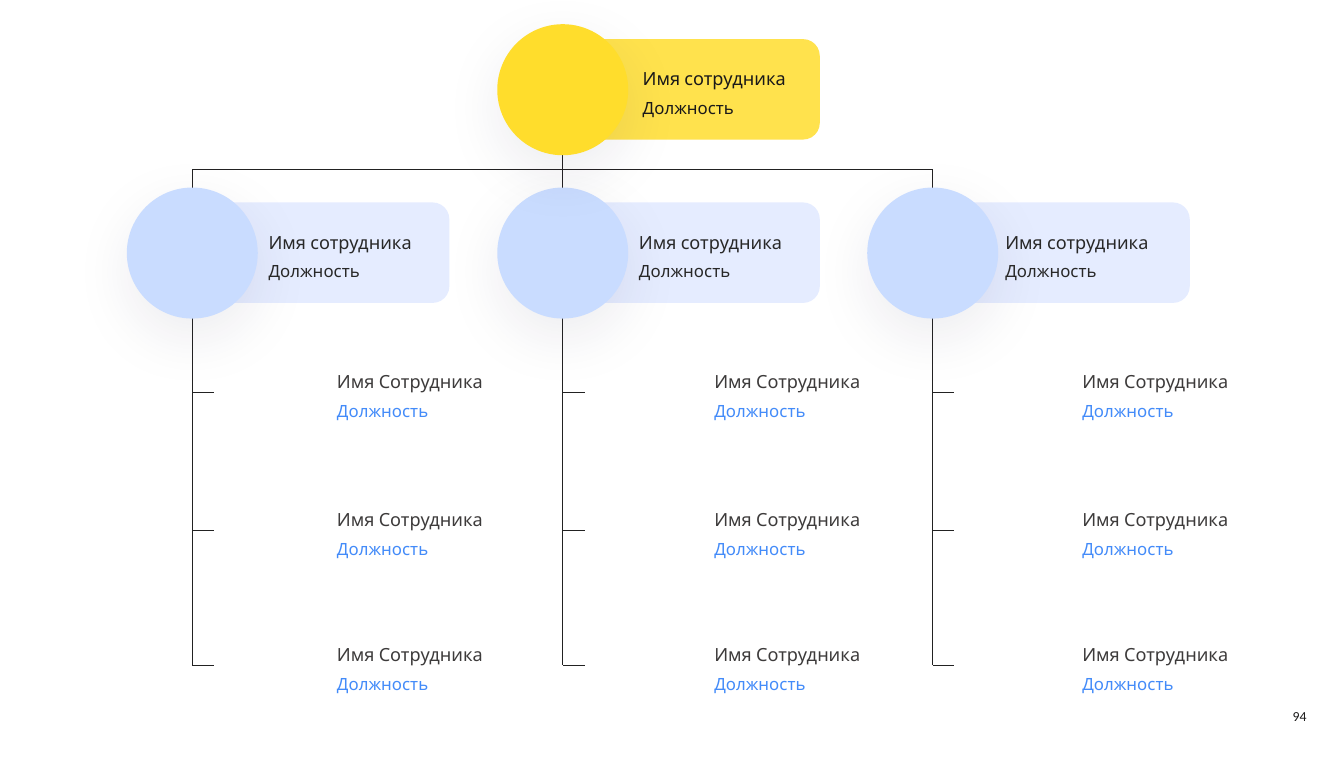
from collections import namedtuple
from dataclasses import dataclass

from lxml.etree import SubElement
from pptx import Presentation
from pptx.dml.color import RGBColor as Rgb
from pptx.enum.shapes import MSO_CONNECTOR as Link, MSO_SHAPE as Form
from pptx.enum.text import MSO_ANCHOR as Anchor, PP_ALIGN as Align
from pptx.oxml.ns import qn
from pptx.util import Cm, Pt

Box = namedtuple("Box", "x y w h")


@dataclass(frozen=True)
class Theme:
    font: str = "Karla"
    plain: str = "Calibri"
    name: float = 21
    role: float = 19.5
    page: float = 16
    rule: float = 0.75
    line: str = "222222"
    black: str = "1A1919"
    dark: str = "282828"
    grey: str = "3D3B3B"
    blue: str = "438BF9"
    sky: str = "C9DCFF"
    pale: str = "E5ECFF"
    gold: str = "FFDD2C"
    shade: str = "221B43"


THEME = Theme()
DISC = 5.36
HEADS = 7.67
BUS = 6.93
TICKS = (16.03, 21.69, 27.2)


def add_text(slide, box, text, size, color, font=THEME.font, space=None,
             align=Align.LEFT, anchor=Anchor.TOP):
    frame = slide.shapes.add_textbox(*map(Cm, box)).text_frame
    frame.word_wrap = True
    frame.vertical_anchor = anchor
    par = frame.paragraphs[0]
    par.alignment = align
    par.line_spacing = space
    run = par.add_run()
    run.text = text
    run.font.name = font
    run.font.size = Pt(size)
    run.font.color.rgb = Rgb.from_string(color)


def add_line(slide, x1, y1, x2, y2):
    line = slide.shapes.add_connector(Link.STRAIGHT, Cm(x1), Cm(y1), Cm(x2), Cm(y2))
    line.line.width = Pt(THEME.rule)
    line.line.color.rgb = Rgb.from_string(THEME.line)
    SubElement(line._element.spPr, qn("a:effectLst"))


def add_form(slide, form, box, color):
    shape = slide.shapes.add_shape(form, *map(Cm, box))
    shape.shadow.inherit = False
    shape.fill.solid()
    shape.fill.fore_color.rgb = Rgb.from_string(color)
    shape.line.fill.background()
    return shape


def set_alpha(color, percent):
    SubElement(color, qn("a:alpha"), val=str(percent * 1000))


def add_shade(shape):
    effects = shape._element.spPr.find(qn("a:effectLst"))
    shade = SubElement(effects, qn("a:outerShdw"), blurRad=str(Pt(69)),
                       dist=str(Pt(22)), dir="5400000", algn="t", rotWithShape="0")
    set_alpha(SubElement(shade, qn("a:srgbClr"), val=THEME.shade), 8)


def add_person(slide, x, y, name, ink, tint):
    add_text(slide, Box(x, y, 6.6, 1.32), name, THEME.name, ink, space=Pt(31))
    add_text(slide, Box(x, y + 1.02, 7.6, 1.4), "Должность", THEME.role, tint, space=1.5)


def add_card(slide, box, label, disc, bar, ink, alpha=None):
    half = box.h / 2
    panel = add_form(slide, Form.ROUNDED_RECTANGLE,
                     Box(box.x + half, box.y + 0.61, box.w - half, 4.11), bar)
    if alpha:
        set_alpha(panel._element.spPr.find(qn("a:solidFill"))[0], alpha)
    add_shade(add_form(slide, Form.OVAL, Box(box.x, box.y, box.h, box.h), disc))
    add_person(slide, box.x + label, box.y + 1.45, "Имя сотрудника", ink, ink)


def add_tree(slide, box, first, last):
    right = box.x + box.w
    add_line(slide, first, box.y, last, box.y)
    for x in (first, last):
        add_line(slide, x, box.y, x, box.y + box.h)
    add_line(slide, right, box.y - 1, right, box.y + box.h)


def add_staff(slide, box, ticks, label):
    add_line(slide, box.x, box.y, box.x, box.y + box.h)
    for y in ticks:
        add_line(slide, box.x, y, box.x + 0.89, y)
        add_person(slide, box.x + label, y - 1.21, "Имя Сотрудника",
                   THEME.grey, THEME.blue)


def add_page(slide, box):
    add_text(slide, box, "94", THEME.page, THEME.black, font=THEME.plain,
             align=Align.RIGHT, anchor=Anchor.MIDDLE)


def card_box(center, top):
    return Box(center - DISC / 2, top, DISC / 2 + 10.52, DISC)


def main():
    deck = Presentation()
    deck.slide_width, deck.slide_height = Cm(55), Cm(31)
    slide = deck.slides.add_slide(deck.slide_layouts[6])
    columns = ((7.87, 5.55, 5.67), (23.03, 5.55, 5.95), (38.17, 5.4, 5.87))
    first, mid, last = (center for center, _, _ in columns)
    add_tree(slide, Box(first, BUS, mid - first, 1.2), first, last)
    foot = HEADS + DISC - 0.43
    for center, label, indent in columns:
        add_staff(slide, Box(center, foot, 12, TICKS[-1] - foot), TICKS, indent)
    for center, label, indent in columns:
        add_card(slide, card_box(center, HEADS), label, THEME.sky, THEME.pale, THEME.dark)
    add_card(slide, card_box(mid, 0.99), 5.7, THEME.gold, THEME.gold, THEME.black, alpha=84)
    add_page(slide, Box(50.75, 28.68, 2.97, 1.19))
    deck.save("out.pptx")


if __name__ == "__main__":
    main()
